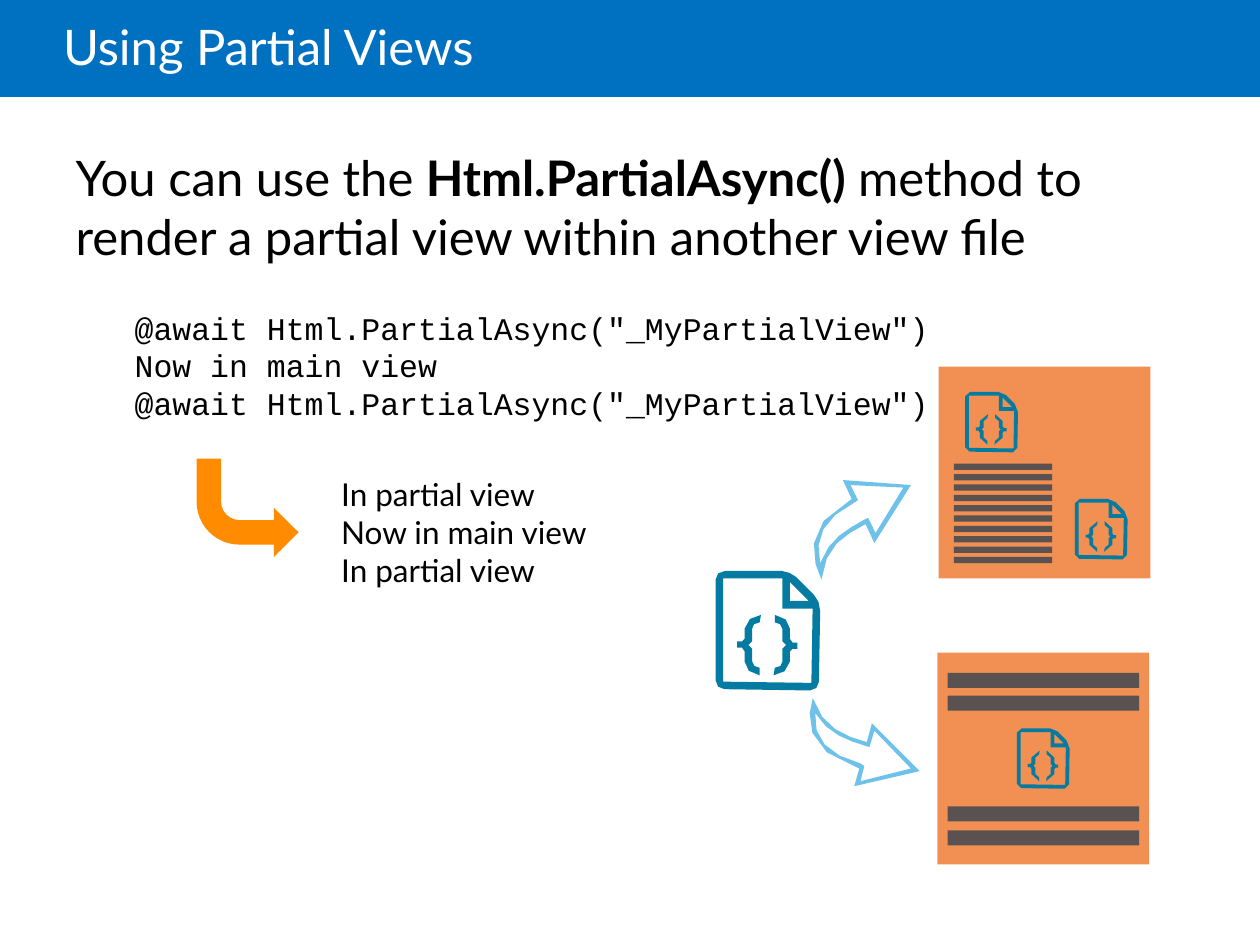
import pptx
import pptx.dml.color
import pptx.enum.shapes
import pptx.enum.text
import pptx.oxml
import pptx.util
from pptx.util import Inches

SHAPES = pptx.enum.shapes.MSO_SHAPE
ANCHOR = pptx.enum.text.MSO_ANCHOR
BLUE, PALE_BLUE, TEAL = "0070C0", "6EC2E9", "067BA2"
ORANGE, PANEL, GREY = "FF8C00", "F19052", "5A5250"
BLACK, WHITE = "000000", "FFFFFF"

# Outlines are in hundredths of an inch: pairs are corners, and
# six numbers are a curve (two control points and an end point).
LEFT_BRACE = [
    (29, 56), (29, 46), (29, 43, 31, 41, 35, 41), (36, 35),
    (29, 35, 24, 40, 23, 46), (23, 54), (21, 56), (17, 56), (17, 61),
    (21, 61), (23, 64), (23, 72), (23, 78, 28, 82, 35, 83), (35, 77),
    (32, 77, 29, 75, 29, 72), (29, 62), (26, 59)]
# The right brace is the left one turned by half a circle.
RIGHT_BRACE = [tuple((118 if place % 2 else 82) - value
                     for place, value in enumerate(part)) for part in LEFT_BRACE]
SHEET_EDGE = [
    (78, 19), (64, 5), (62, 3, 56, 0, 52, 0), (8, 0), (3, 0, 0, 3, 0, 7),
    (0, 87), (0, 91, 3, 94, 7, 94), (75, 95), (79, 95, 82, 92, 82, 88),
    (83, 32), (83, 27, 81, 22, 78, 19)]
FOLD = [(74, 24), (59, 24), (59, 9)]
SHEET_INSIDE = [(76, 89), (6, 88), (6, 6), (53, 6), (53, 30), (77, 30)]
CODE_FILE = [LEFT_BRACE, RIGHT_BRACE, SHEET_EDGE, FOLD, SHEET_INSIDE]

ARROW_UP = [
    [(675, 385), (681, 397), (678, 399), (654, 411, 646, 427, 651, 447),
     (658, 427, 673, 420, 685, 413), (689, 411), (695, 423), (717, 387)],
    [(669, 381), (723, 385), (694, 431), (687, 416),
     (670, 425, 655, 433, 652, 460), (646, 447, 634, 418, 676, 396)]]
ARROW_DOWN = [
    [(683, 620), (686, 608), (683, 606), (657, 599, 645, 586, 647, 566),
     (657, 583, 674, 588, 687, 592), (690, 593), (694, 580), (723, 610)],
    [(678, 624), (730, 612), (692, 574), (688, 589),
     (670, 584, 653, 578, 645, 554), (641, 567, 636, 596, 682, 610)]]


def colour(code):
    """Turn a hex string into a colour."""
    return pptx.dml.color.RGBColor.from_string(code)


def paint(shape, code):
    """Give a shape a plain fill with no line and no shadow."""
    shape.shadow.inherit = False
    shape.fill.solid()
    shape.fill.fore_color.rgb = colour(code)
    shape.line.fill.background()
    return shape


def add_block(page, left, top, width, height, code, kind=SHAPES.RECTANGLE):
    """Add a filled preset shape."""
    return paint(page.shapes.add_shape(
        kind, Inches(left), Inches(top), Inches(width), Inches(height)), code)


def place(box, left, top, width, height):
    """Move and size a placeholder."""
    box.left, box.top = Inches(left), Inches(top)
    box.width, box.height = Inches(width), Inches(height)


def write(box, lines, size, font, code, anchor=ANCHOR.TOP):
    """Write lines, each a list of (text, bold) runs; return the paragraphs."""
    frame = box.text_frame
    frame.word_wrap = True
    frame.auto_size = pptx.enum.text.MSO_AUTO_SIZE.NONE
    frame.vertical_anchor = anchor
    for number, line in enumerate(lines):
        para = frame.add_paragraph() if number else frame.paragraphs[0]
        para.alignment = pptx.enum.text.PP_ALIGN.LEFT
        for text, bold in line:
            span = para.add_run()
            span.text = text
            span.font.size = pptx.util.Pt(size)
            span.font.name = font
            span.font.bold = bold
            span.font.color.rgb = colour(code)
    return frame.paragraphs


def trace(outline, steps):
    """Turn an outline of corners and curves into a list of points."""
    points = []
    for part in outline:
        if len(part) == 2:
            points.append(part)
            continue
        knots = [points[-1], part[:2], part[2:4], part[4:]]
        for step in range(1, steps + 1):
            t = step / steps
            weights = ((1 - t) ** 3, 3 * t * (1 - t) ** 2,
                       3 * t * t * (1 - t), t ** 3)
            points.append(tuple(sum(weight * knot[axis] for weight, knot
                                    in zip(weights, knots)) for axis in (0, 1)))
    return points


def add_outlines(page, outlines, code, steps, left=0, top=0, scale=1):
    """Add one freeform made of several closed outlines."""
    builder = None
    for outline in outlines:
        points = [(Inches(left + x * scale / 100), Inches(top + y * scale / 100))
                  for x, y in trace(outline, steps)]
        if builder is None:
            builder = page.shapes.build_freeform(*points[0])
        else:
            builder.move_to(*points[0])
        builder.add_line_segments(points[1:], close=True)
    return paint(builder.convert_to_shape(), code)


def add_heading(page):
    """Add the blue band and the title."""
    add_block(page, 0, 0, 10, 0.77, BLUE)
    title = page.shapes.title
    page.shapes._spTree.append(title._element)
    place(title, 0.5, 0, 8.5, 0.81)
    title.text_frame.margin_left = 0
    para = write(title, [[("Using Partial Views", False)]], 28, "Lato", WHITE,
                 ANCHOR.MIDDLE)[0]
    para.line_spacing = 0.85


def add_texts(page):
    """Add the statement, the code and its output."""
    body = page.placeholders[1]
    place(body, 0.5, 1.12, 8.88, 5.63)
    para = write(body, [[
        ("You can use the ", False), ("Html.PartialAsync()", True),
        (" method to render a partial view within another view file", False),
    ]], 28, "Lato", BLACK)[0]
    para.space_before = pptx.util.Pt(6)
    props = para._p.get_or_add_pPr()
    props.set("marL", "0")
    props.set("indent", "0")
    props.append(pptx.oxml.parse_xml(
        '<a:buNone xmlns:a="http://schemas.openxmlformats.org/drawingml/2006/main"/>'))

    call = '@await Html.PartialAsync("_MyPartialView")'
    code = add_block(page, 0.97, 2.4, 7.92, 1.01, WHITE)
    lines = [[(text, False)] for text in (call, "Now in main view", call)]
    for para in write(code, lines, 18, "Courier New", BLACK):
        para.line_spacing = pptx.util.Pt(21.6)

    output = page.shapes.add_textbox(
        Inches(2.61), Inches(3.72), Inches(2.4), Inches(1.01))
    lines = [[(text, False)] for text in
             ("In partial view", "Now in main view", "In partial view")]
    write(output, lines, 18, "Lato", BLACK)


def add_diagram(page):
    """Add the partial view and the two pages that use it."""
    bend = add_block(page, 1.56, 3.64, 0.81, 0.78, ORANGE, SHAPES.BENT_ARROW)
    bend._element.spPr.xfrm.set("flipV", "1")
    for arrow in (ARROW_UP, ARROW_DOWN):
        add_outlines(page, arrow, PALE_BLUE, 4)
    add_outlines(page, CODE_FILE, TEAL, 2, 5.68, 4.53)
    add_block(page, 7.45, 2.91, 1.68, 1.68, PANEL)
    add_block(page, 7.44, 5.18, 1.68, 1.68, PANEL)
    for left, top in ((7.66, 3.11), (8.07, 5.78), (8.53, 3.96)):
        add_outlines(page, CODE_FILE, TEAL, 1, left, top, 0.505)
    for row in range(10):
        add_block(page, 7.57, 3.68 + row * 0.74 / 9, 0.78, 0.05, GREY)
    for top in (5.34, 5.52, 6.4, 6.59):
        add_block(page, 7.52, top, 1.52, 0.12, GREY)


def main():
    """Build the slide and save it."""
    deck = pptx.Presentation()
    deck.slide_width, deck.slide_height = Inches(10), Inches(7.5)
    page = deck.slides.add_slide(deck.slide_layouts[1])
    add_heading(page)
    add_texts(page)
    add_diagram(page)
    deck.save("out.pptx")


main()
